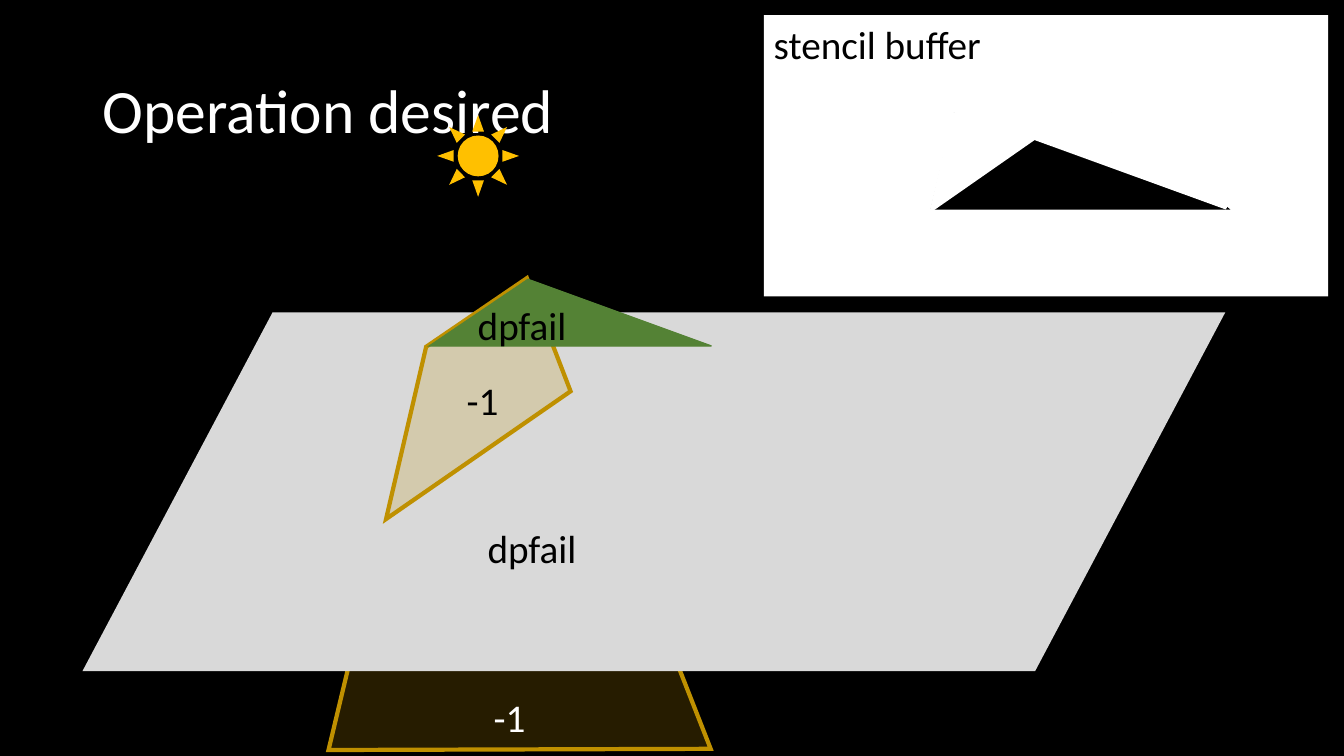
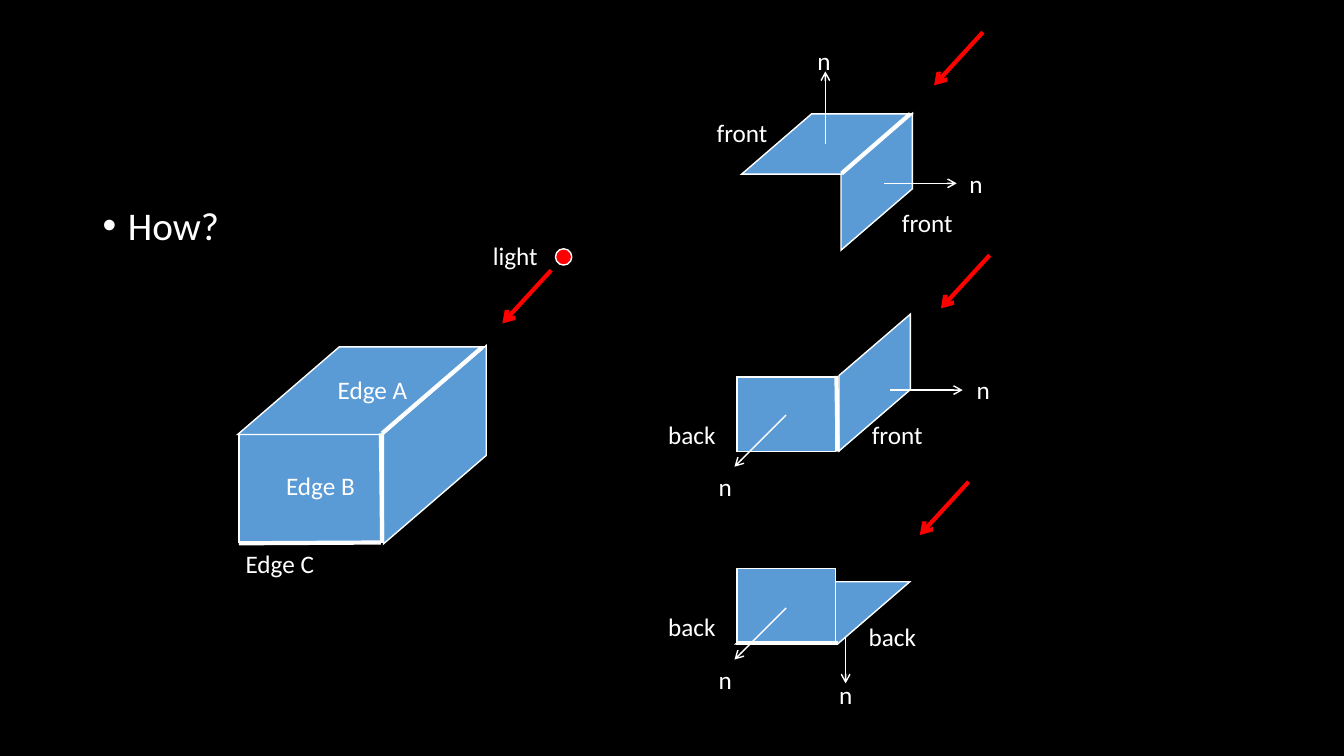
from lxml.etree import SubElement
from pptx import Presentation
from pptx.dml.color import RGBColor
from pptx.enum.shapes import MSO_CONNECTOR, MSO_SHAPE
from pptx.enum.text import MSO_ANCHOR, PP_ALIGN
from pptx.oxml.ns import qn
from pptx.util import Cm, Pt

FONT = "Calibri"
COLORS = {
    "black": "000000", "white": "FFFFFF", "ground": "D9D9D9", "volume": "BF9000",
    "sun": "FFC000", "caster": "548235", "face": "5B9BD5", "light": "FF0000",
}
GROUND_SKEW, TOP_SKEW, SIDE_SKEW = 0.53, 1.16, 0.86

# Slide 1: all positions in centimetres
TITLE = "Operation desired"
LOWER_VOLUME = [(9.7, 12.98), (8.28, 18.9), (17.91, 18.87), (15.6, 12.98)]
UPPER_VOLUME = [(10.74, 8.74), (9.73, 13.08), (14.38, 9.86), (13.28, 7.01)]
GROUND = (2.08, 7.87, 28.8, 9.04)
SUN = (11.02, 2.9, 2.06, 2.06)
CASTER = (10.82, 7.04, 7.11, 1.68)
STENCIL_PANEL = (19.25, 0.38, 14.22, 7.09)
STENCIL_SHADOW = [(24.08, 2.9), (23.52, 5.23), (30.86, 5.23), (27.99, 2.9)]
STENCIL_MASKS = [
    [(25.5, 1.96), (26.09, 3.48), (30.91, 5.23), (28.04, 2.9)],
    [(24.05, 2.9), (23.5, 5.26), (26.01, 3.51), (25.43, 1.96)],
]
STENCIL_LABELS = [
    ("stencil buffer", 19.25, 0.38, "black"),
    ("-1", 12.19, 17.35, "white"),
    ("dpfail", 11.79, 7.47, "black"),
    ("dpfail", 12.04, 13.08, "black"),
    ("-1", 11.51, 9.37, "black"),
]

# Slide 2
QUESTION = "How?"
FACES = [
    ("top", 18.54, 14.66, 4.39, 1.57),
    ("front", 18.57, 14.33, 2.49, 1.88),
    ("front", 6.02, 10.95, 3.61, 2.72),
    ("top", 5.99, 8.74, 6.22, 2.21),
    ("side", 8.46, 9.91, 5.0, 2.59),
    ("top", 18.69, 2.87, 4.29, 1.52),
    ("side", 20.37, 3.68, 3.45, 1.8),
    ("front", 18.57, 9.5, 2.49, 1.88),
    ("side", 20.32, 8.74, 3.45, 1.8),
]
EDGES = [
    ((12.14, 8.76), (9.63, 10.92)),
    ((9.63, 13.67), (9.6, 10.92)),
    ((9.6, 13.67), (6.02, 13.69)),
    ((22.94, 2.87), (21.21, 4.37)),
    ((21.11, 11.38), (21.08, 9.47)),
    ((21.11, 16.21), (18.54, 16.21)),
]
LAMP = (14.0, 6.27, 0.41, 0.41)
RAY = (-1.23, 1.34)
RAY_STARTS = [(13.89, 6.81), (24.77, 0.81), (24.94, 6.43), (24.41, 12.14)]
NORMALS = {"up": (0, -1.83), "right": (1.83, 0), "down": (0, 1.83), "outward": (-1.3, 1.3)}
HIDDEN_NORMAL = ("down", (21.31, 15.39))
VISIBLE_NORMALS = [
    ("up", (20.8, 3.63)),
    ("right", (22.28, 4.62)),
    ("right", (22.43, 9.83)),
    ("outward", (19.81, 10.46)),
    ("outward", (19.81, 15.32)),
]
EDGE_LABELS = {
    "Edge A": [(8.26, 9.3)],
    "Edge B": [(6.96, 11.73)],
    "Edge C": [(5.94, 13.69)],
    "light": [(12.17, 5.94)],
    "n": [(20.35, 1.02), (24.18, 4.11), (24.36, 9.32), (17.86, 11.76),
          (17.86, 16.61), (20.9, 16.99)],
    "front": [(22.48, 5.11), (17.81, 2.82), (21.72, 10.44)],
    "back": [(16.59, 10.44), (16.59, 15.29), (21.64, 15.54)],
}


def rgb(color):
    return RGBColor.from_string(COLORS[color])


def paint(shape, fill, line=None, width=1, opacity=None):
    shape.shadow.inherit = False
    shape.fill.solid()
    shape.fill.fore_color.rgb = rgb(fill)
    if opacity is not None:
        tint = shape.element.spPr.find(qn("a:solidFill")).find(qn("a:srgbClr"))
        SubElement(tint, qn("a:alpha"), val=str(opacity * 1000))
    if line is None:
        shape.line.fill.background()
        return
    shape.line.color.rgb = rgb(line)
    shape.line.width = Pt(width)
    SubElement(shape.element.spPr.find(qn("a:ln")), qn("a:miter"), lim="800000")


def add_preset(slide, preset, box, fill, skew=None, **outline):
    shape = slide.shapes.add_shape(preset, *map(Cm, box))
    if skew is not None:
        shape.adjustments[0] = skew
    paint(shape, fill, **outline)
    return shape


def add_polygon(slide, corners, fill, **outline):
    points = [(Cm(x), Cm(y)) for x, y in corners]
    builder = slide.shapes.build_freeform(*points[0])
    builder.add_line_segments(points[1:], close=True)
    paint(builder.convert_to_shape(), fill, line=fill, width=3, **outline)


def add_line(slide, start, end, color="white", width=1, arrow=False):
    line = slide.shapes.add_connector(MSO_CONNECTOR.STRAIGHT, *map(Cm, (*start, *end)))
    line.line.color.rgb = rgb(color)
    line.line.width = Pt(width)
    properties = line.element.spPr
    if arrow:
        SubElement(properties.find(qn("a:ln")), qn("a:tailEnd"), type="arrow")
    SubElement(properties, qn("a:effectLst"))


def add_arrow(slide, start, step, **style):
    end = [place + move for place, move in zip(start, step)]
    add_line(slide, start, end, arrow=True, **style)


def write(frame, text, size=18, color="white", spacing=None, before=None):
    """Put one left-aligned paragraph in a text frame and return it."""
    frame.word_wrap = True
    paragraph = frame.paragraphs[0]
    paragraph.alignment = PP_ALIGN.LEFT
    paragraph.line_spacing = spacing
    paragraph.space_before = before
    run = paragraph.add_run()
    run.text = text
    run.font.name = FONT
    run.font.size = Pt(size)
    run.font.color.rgb = rgb(color)
    return paragraph


def add_label(slide, text, x, y, width, height, **style):
    box = slide.shapes.add_textbox(*map(Cm, (x, y, width, height)))
    write(box.text_frame, text, **style)


def place(shape, box):
    shape.left, shape.top, shape.width, shape.height = map(Cm, box)


def build_stencil_slide(prs):
    slide = prs.slides.add_slide(prs.slide_layouts[5])
    add_polygon(slide, LOWER_VOLUME, "volume", opacity=20)
    add_preset(slide, MSO_SHAPE.PARALLELOGRAM, GROUND, "ground", skew=GROUND_SKEW)
    add_polygon(slide, UPPER_VOLUME, "volume", opacity=20)

    title = slide.shapes.title
    place(title, (2.33, 1.01, 29.21, 3.68))
    title.text_frame.vertical_anchor = MSO_ANCHOR.MIDDLE
    write(title.text_frame, TITLE, size=44, spacing=0.9)

    add_preset(slide, MSO_SHAPE.SUN, SUN, "sun")
    add_preset(slide, MSO_SHAPE.ISOSCELES_TRIANGLE, CASTER, "caster", skew=0.35, line="caster")
    add_preset(slide, MSO_SHAPE.RECTANGLE, STENCIL_PANEL, "white")
    add_polygon(slide, STENCIL_SHADOW, "black")
    for mask in STENCIL_MASKS:
        add_polygon(slide, mask, "white")
    for text, x, y, color in STENCIL_LABELS:
        add_label(slide, text, x, y, 6.2, 1.45, size=28, color=color)


def add_face(slide, side, *box):
    if side == "front":
        add_preset(slide, MSO_SHAPE.RECTANGLE, box, "face", line="white")
        return
    skew = TOP_SKEW if side == "top" else SIDE_SKEW
    face = add_preset(slide, MSO_SHAPE.PARALLELOGRAM, box, "face", skew=skew, line="white")
    if side == "side":
        face.rotation = 90
        face.element.spPr.find(qn("a:xfrm")).set("flipV", "1")


def build_edges_slide(prs):
    slide = prs.slides.add_slide(prs.slide_layouts[1])
    title = slide.shapes.title.element
    title.getparent().remove(title)
    body = slide.placeholders[1]
    place(body, (2.33, 5.08, 29.21, 12.09))
    bullet = write(body.text_frame, QUESTION, size=28, spacing=0.9, before=Pt(10))
    indent = bullet.runs[0].font and Cm(0.64)
    layout = bullet._p.get_or_add_pPr()
    layout.set("marL", str(indent))
    layout.set("indent", str(-indent))
    SubElement(layout, qn("a:buChar"), char="•")

    direction, start = HIDDEN_NORMAL
    add_arrow(slide, start, NORMALS[direction])
    for face in FACES:
        add_face(slide, *face)
    add_preset(slide, MSO_SHAPE.OVAL, LAMP, "light", line="white")
    for start, end in EDGES:
        add_line(slide, start, end, width=3)
    for start in RAY_STARTS:
        add_arrow(slide, start, RAY, color="light", width=3)
    for direction, start in VISIBLE_NORMALS:
        add_arrow(slide, start, NORMALS[direction])
    for text, spots in EDGE_LABELS.items():
        for x, y in spots:
            add_label(slide, text, x, y, 0.9 if text == "n" else 2.9, 1.02)


def main():
    prs = Presentation()
    prs.slide_width, prs.slide_height = Cm(33.87), Cm(19.05)
    backdrop = prs.slide_master.background.fill
    backdrop.solid()
    backdrop.fore_color.rgb = rgb("black")
    build_stencil_slide(prs)
    build_edges_slide(prs)
    prs.save("out.pptx")


if __name__ == "__main__":
    main()
